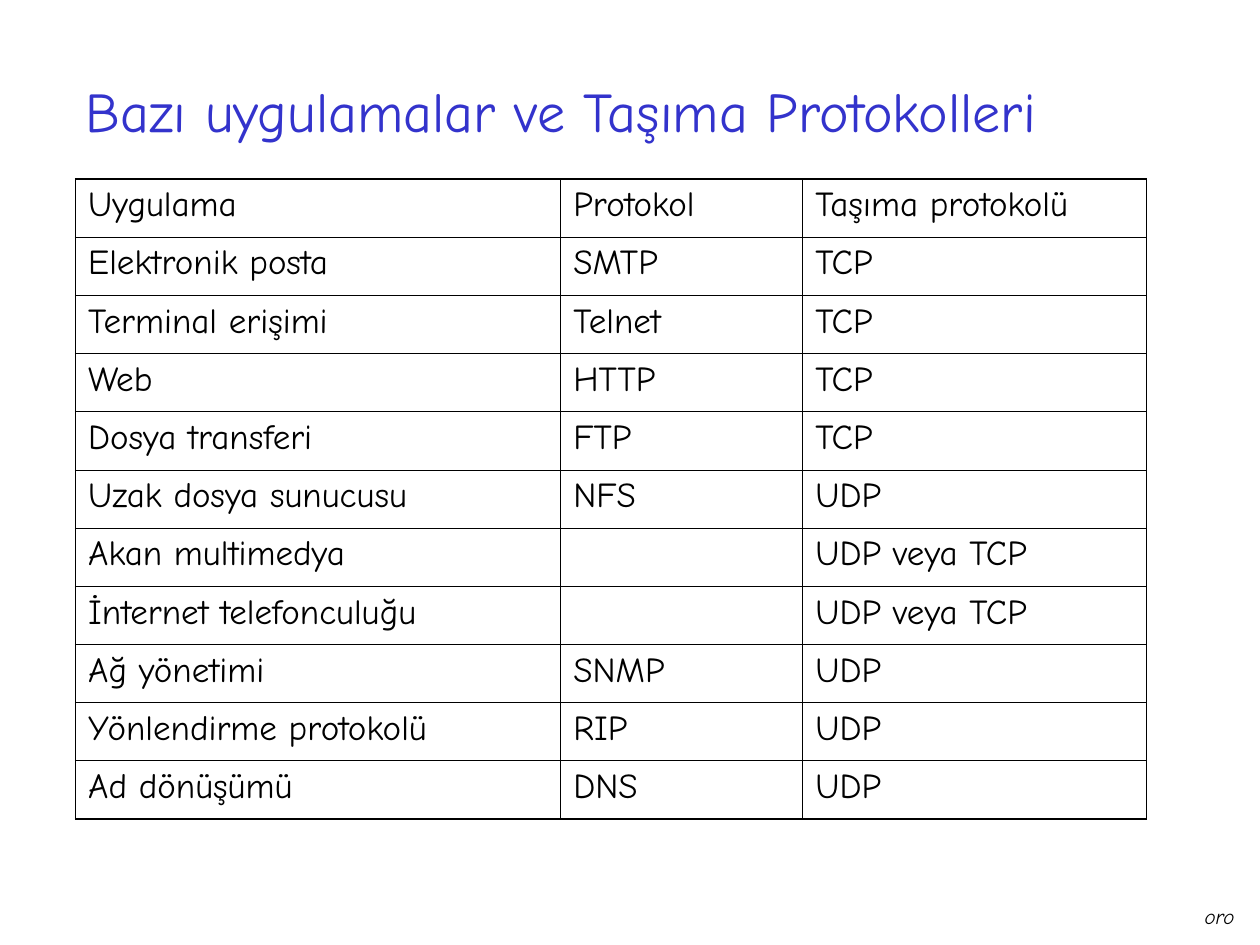
import pptx
import pptx.util
import pptx.dml.color
import pptx.enum.text
import pptx.oxml
import pptx.oxml.ns

COLORS = {"title": "3333CC", "text": "000000", "border": "000000"}
FONT = "Comic Neue"
OUTER, INNER = 1.08, 0.45

ROWS = [
    ("Uygulama", "Protokol", "Taşıma protokolü"),
    ("Elektronik posta", "SMTP", "TCP"),
    ("Terminal erişimi", "Telnet", "TCP"),
    ("Web", "HTTP", "TCP"),
    ("Dosya transferi", "FTP", "TCP"),
    ("Uzak dosya sunucusu", "NFS", "UDP"),
    ("Akan multimedya", "", "UDP veya TCP"),
    ("İnternet telefonculuğu", "", "UDP veya TCP"),
    ("Ağ yönetimi", "SNMP", "UDP"),
    ("Yönlendirme protokolü", "RIP", "UDP"),
    ("Ad dönüşümü", "DNS", "UDP"),
]


class Deck:
    """Holds the presentation, its style and the current slide."""

    def __init__(self, width, height):
        self.prs = pptx.Presentation()
        self.prs.slide_width = pptx.util.Inches(width)
        self.prs.slide_height = pptx.util.Inches(height)
        self.s = self.prs.slides.add_slide(self.prs.slide_layouts[5])

    def box(self, x, y, w, h):
        """Turn shares of the slide's size into lengths."""
        sw, sh = self.prs.slide_width, self.prs.slide_height
        return [pptx.util.Emu(round(n)) for n in (x * sw, y * sh, w * sw, h * sh)]

    def set_text(self, tf, text, size, color="text", align="LEFT", italic=False):
        p = tf.paragraphs[0]
        p.text = text
        p.alignment = pptx.enum.text.PP_ALIGN[align]
        p.font.name = FONT
        p.font.size = pptx.util.Pt(size)
        p.font.italic = italic
        p.font.color.rgb = pptx.dml.color.RGBColor.from_string(COLORS[color])

    def title(self, text, *share):
        sp = self.s.shapes.title
        sp.left, sp.top, sp.width, sp.height = self.box(*share)
        sp.text_frame.auto_size = pptx.enum.text.MSO_AUTO_SIZE.NONE
        sp.text_frame.vertical_anchor = pptx.enum.text.MSO_ANCHOR.MIDDLE
        self.set_text(sp.text_frame, text, 32, "title")

    def label(self, text, *share):
        tf = self.s.shapes.add_textbox(*self.box(*share)).text_frame
        tf.word_wrap = False
        self.set_text(tf, text, 12, align="CENTER", italic=True)

    def borders(self, cell, widths):
        """Draw the left, right, top and bottom lines of a cell."""
        tcPr = cell._tc.get_or_add_tcPr()
        for i, (side, width) in enumerate(zip("LRTB", widths)):
            tcPr.insert(i, pptx.oxml.parse_xml(
                f'<a:ln{side} {pptx.oxml.ns.nsdecls("a")} w="{pptx.util.Pt(width)}">'
                f'<a:solidFill><a:srgbClr val="{COLORS["border"]}"/></a:solidFill>'
                f'</a:ln{side}>'))

    def table(self, rows, shares, *share):
        """Add a table whose columns take the given shares of its width."""
        x, y, w, h = self.box(*share)
        last_row, last_col = len(rows) - 1, len(shares) - 1
        table = self.s.shapes.add_table(len(rows), len(shares), x, y, w, h).table
        table.first_row = table.horz_banding = False
        for column, part in zip(table.columns, shares):
            column.width = round(w * part)
        for i, row in enumerate(rows):
            for j, text in enumerate(row):
                cell = table.cell(i, j)
                cell.fill.background()
                edges = (j == 0, j == last_col, i == 0, i == last_row)
                self.borders(cell, [OUTER if edge else INNER for edge in edges])
                self.set_text(cell.text_frame, text, 20)


def main():
    deck = Deck(10, 7.5)
    deck.label("oro", 0.946, 0.95, 0.044, 0.04)
    deck.title("Bazı uygulamalar ve Taşıma Protokolleri", 0.058, 0.25 / 7.5, 0.85, 1 / 6)
    deck.table(ROWS, (0.453, 0.226, 0.321), 0.06, 1.42 / 7.5, 0.85, 5.08 / 7.5)
    deck.prs.save("out.pptx")


if __name__ == "__main__":
    main()
